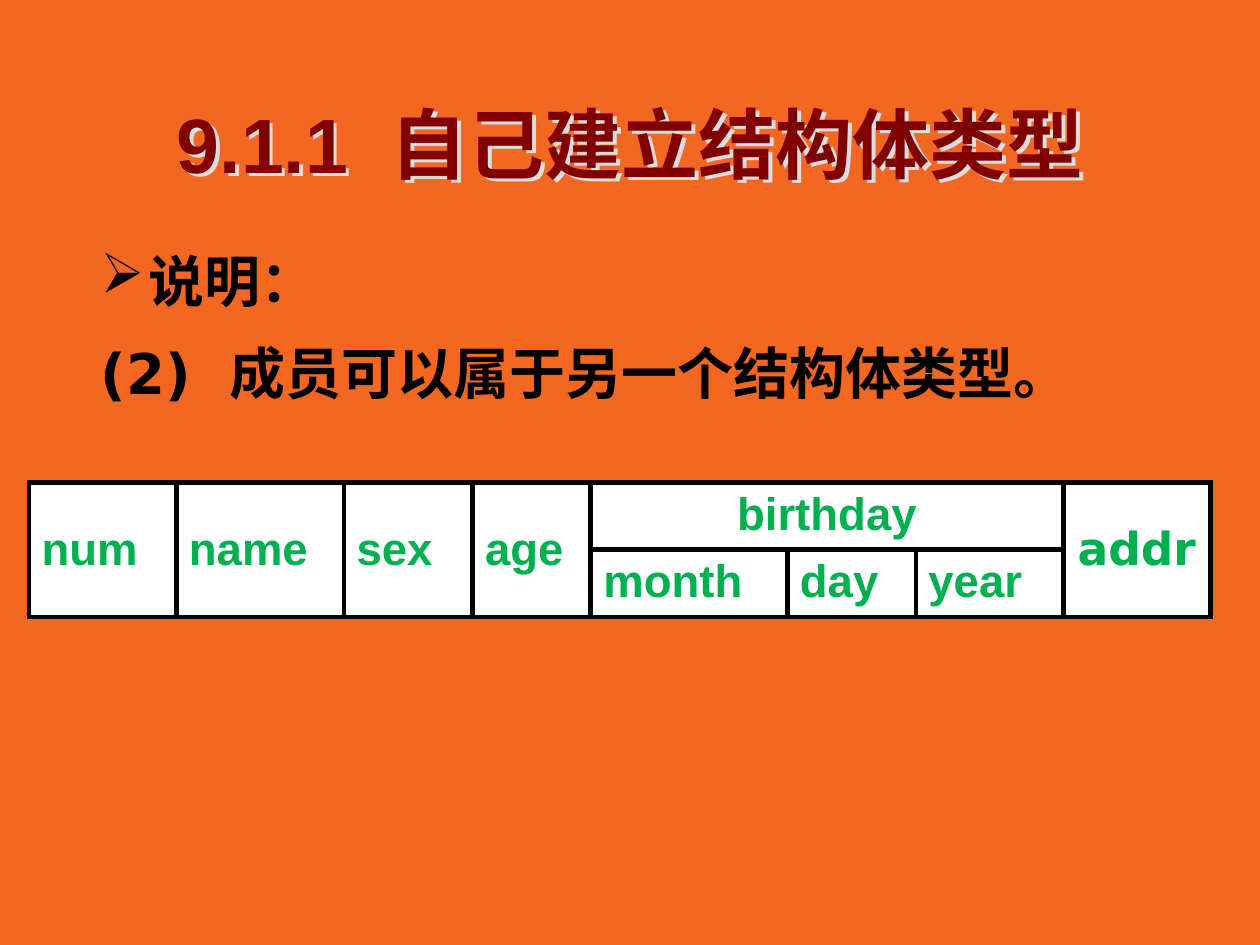
from pptx import Presentation
from pptx.dml.color import RGBColor
from pptx.enum.text import MSO_ANCHOR, PP_ALIGN
from pptx.oxml import parse_xml
from pptx.oxml.ns import nsdecls
from pptx.util import Inches, Pt

MIDDLE, TOP = MSO_ANCHOR.MIDDLE, MSO_ANCHOR.TOP
LEFT, CENTER = PP_ALIGN.LEFT, PP_ALIGN.CENTER
SANS, WIDE = "Arial", "DejaVu Sans"
BLACK, GREEN = "000000", "00B050"
WIDTHS = [1.17, 1.33, 1.02, 0.94, 1.56, 1.02, 1.17, 1.17]
# row, column, rows spanned, columns spanned, text, font, alignment
FIELDS = [
    (0, 0, 2, 1, "num", SANS, LEFT),
    (0, 1, 2, 1, "name", SANS, LEFT),
    (0, 2, 2, 1, "sex", SANS, LEFT),
    (0, 3, 2, 1, "age", SANS, LEFT),
    (0, 4, 1, 3, "birthday", SANS, CENTER),
    (1, 4, 1, 1, "month", SANS, LEFT),
    (1, 5, 1, 1, "day", SANS, LEFT),
    (1, 6, 1, 1, "year", SANS, LEFT),
    (0, 7, 2, 1, "addr", WIDE, CENTER),
]


def color(code):
    return RGBColor.from_string(code)


def xml(tag, attrs="", inner=""):
    return parse_xml(f"<a:{tag} {nsdecls('a')} {attrs}>{inner}</a:{tag}>")


def add_run(para, text, size, face, code, gap=0):
    """Add a bold run; gap is extra letter spacing in points."""
    run = para.add_run()
    run.text = text
    font = run.font
    font.size, font.name, font.bold = Pt(size), face, True
    font.color.rgb = color(code)
    if gap:
        font._element.set("spc", str(gap * 100))


def add_box(slide, box):
    shape = slide.shapes.add_textbox(*map(Inches, box))
    shape.text_frame.word_wrap = True
    return shape


def add_title(slide, box):
    shape = add_box(slide, box)
    shape.text_frame.vertical_anchor = MIDDLE
    para = shape.text_frame.paragraphs[0]
    para.alignment = CENTER
    for text, gap in (("9.1.1", 0), (" ", 12), ("自己建立结构体类型", 0)):
        add_run(para, text, 44, SANS, "800000", gap)
    shape._element.spPr.append(xml(
        "effectLst", "",
        '<a:outerShdw dist="36000" dir="2700000" algn="ctr">'
        '<a:srgbClr val="DDDDDD"/></a:outerShdw>'))


def add_body(slide, box):
    frame = add_box(slide, box).text_frame
    head, item = frame.paragraphs[0], frame.add_paragraph()
    for para in (head, item):
        props = para._p.get_or_add_pPr()
        props.set("marL", str(Inches(0.38)))
        props.set("indent", str(-Inches(0.38)))
        para.line_spacing = 1.2
    item.space_before = Pt(6.4)
    head._p.pPr.append(xml("buChar", 'char="➢"'))
    item._p.pPr.append(xml("buNone"))
    add_run(head, "说明：", 32, WIDE, BLACK)
    for text, gap in (("(2)", 0), (" ", 11),
                      ("成员可以属于另一个结构体类型。", 0)):
        add_run(item, text, 32, WIDE, BLACK, gap)


def style_cell(cell):
    props = cell._tc.get_or_add_tcPr()
    for side in ("lnL", "lnR", "lnT", "lnB"):
        props.append(xml(
            side, f'w="{Pt(3)}"',
            f'<a:solidFill><a:srgbClr val="{BLACK}"/></a:solidFill>'))
    cell.fill.solid()
    cell.fill.fore_color.rgb = color("FFFFFF")


def add_record(slide, box):
    """Draw the structure members as a table with a nested birthday."""
    table = slide.shapes.add_table(2, len(WIDTHS), *map(Inches, box)).table
    table.first_row = table.horz_banding = False
    for col, width in zip(table.columns, WIDTHS):
        col.width = Inches(width)
    for cell in table.iter_cells():
        style_cell(cell)
    for row, col, tall, wide, text, face, align in FIELDS:
        cell = table.cell(row, col)
        if tall > 1 or wide > 1:
            cell.merge(table.cell(row + tall - 1, col + wide - 1))
        cell.vertical_anchor = MIDDLE if tall > 1 else TOP
        para = cell.text_frame.paragraphs[0]
        para.alignment = align
        add_run(para, text, 26, face, GREEN)


def main():
    deck = Presentation()
    deck.slide_width, deck.slide_height = Inches(10), Inches(7.5)
    slide = deck.slides.add_slide(deck.slide_layouts[6])
    fill = slide.background.fill
    fill.solid()
    fill.fore_color.rgb = color("F36721")
    add_title(slide, (0.16, 0.71, 9.69, 0.84))
    add_body(slide, (0.7, 1.8, 8.59, 1.64))
    add_record(slide, (0.23, 3.83, 9.38, 1.06))
    deck.save("out.pptx")


if __name__ == "__main__":
    main()
